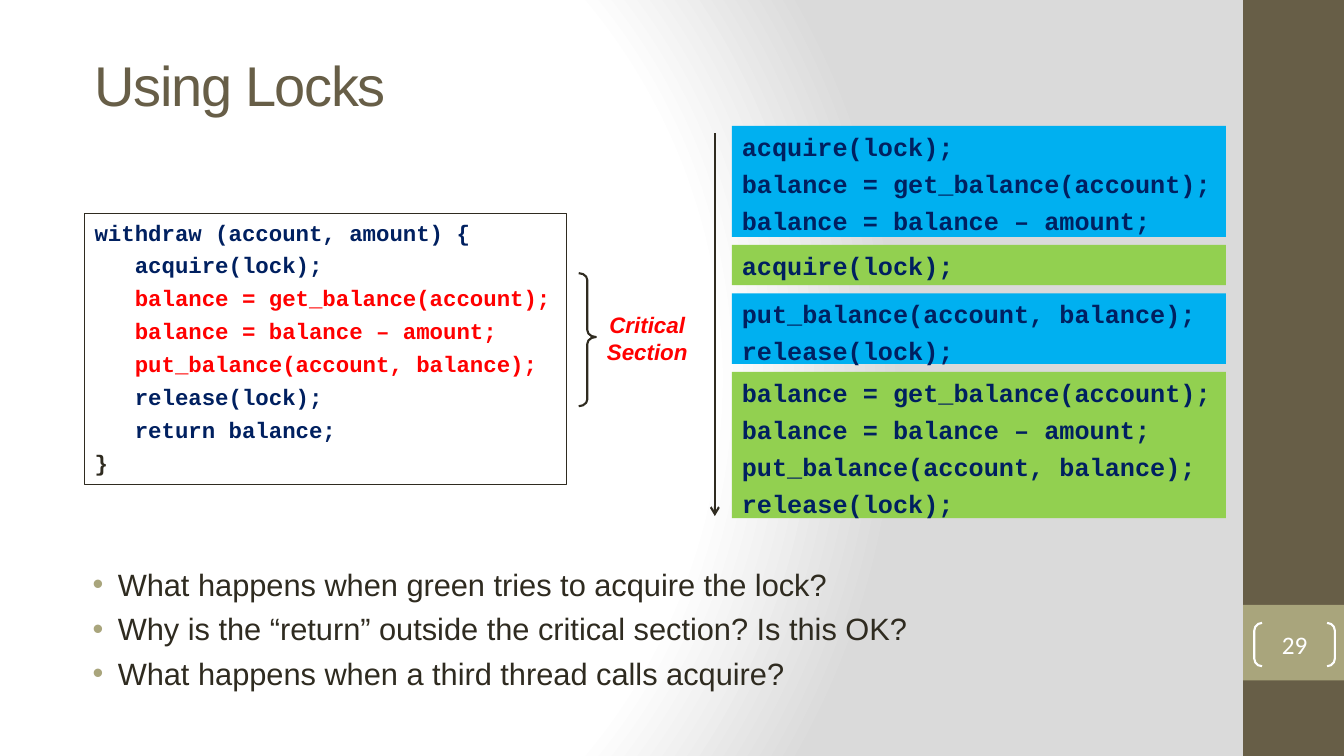
from dataclasses import dataclass

from lxml import etree
from pptx import Presentation
from pptx.dml.color import RGBColor
from pptx.enum.shapes import MSO_CONNECTOR, MSO_SHAPE
from pptx.enum.text import MSO_ANCHOR, PP_ALIGN
from pptx.oxml import parse_xml
from pptx.oxml.ns import nsdecls, qn
from pptx.util import Inches, Pt

RECTANGLE = MSO_SHAPE.RECTANGLE
BRACKETS = MSO_SHAPE.DOUBLE_BRACKET
BRACE = MSO_SHAPE.RIGHT_BRACE
STRAIGHT = MSO_CONNECTOR.STRAIGHT
TOP, MIDDLE = MSO_ANCHOR.TOP, MSO_ANCHOR.MIDDLE
LEFT, CENTER, JUSTIFY = PP_ALIGN.LEFT, PP_ALIGN.CENTER, PP_ALIGN.JUSTIFY

COLORS = {
    "brown": "675E47", "khaki": "A9A57C", "ink": "2F2B20", "navy": "002060",
    "red": "FF0000", "blue": "00B0F0", "green": "92D050",
    "white": "FFFFFF", "gray": "DADADA",
}


@dataclass
class Area:
    left: float
    top: float
    width: float
    height: float

    def lengths(self) -> tuple:
        return tuple(Inches(v) for v in (self.left, self.top, self.width, self.height))


@dataclass
class Style:
    font: str
    size: float
    color: str
    bold: bool = False
    italic: bool = False
    align: PP_ALIGN = LEFT
    space: float = 0


@dataclass
class Step:
    """One thread's turn on the timeline."""
    color: str
    height: float
    lines: list[str]


TITLE = Style("Arial", 40, "brown")
NUMBER = Style("Calibri", 18, "white", align=CENTER)
LABEL = Style("Arial", 16, "red", bold=True, italic=True, align=CENTER)
QUESTION = Style("Arial", 22, "ink", align=JUSTIFY, space=5.4)
CODE = Style("Courier New", 16, "navy", bold=True, space=4.3)
STEP_CODE = Style("Courier New", 18, "navy", bold=True, space=4.9)

CRITICAL = [
    "balance = get_balance(account);",
    "balance = balance – amount;",
    "put_balance(account, balance);",
]
ACQUIRE, RELEASE = "acquire(lock);", "release(lock);"
WITHDRAW = [
    ("withdraw (account, amount) {", "navy"),
    ("   " + ACQUIRE, "navy"),
    *[("   " + line, "red") for line in CRITICAL],
    ("   " + RELEASE, "navy"),
    ("   return balance;", "navy"),
    ("}", "ink"),
]
STEPS = [
    Step("blue", 1.1, [ACQUIRE, *CRITICAL[:2]]),
    Step("green", 0.4, [ACQUIRE]),
    Step("blue", 0.7, [CRITICAL[2], RELEASE]),
    Step("green", 1.45, [*CRITICAL, RELEASE]),
]
STEP_GAP = 0.08
QUESTIONS = [
    "What happens when green tries to acquire the lock?",
    "Why is the “return” outside the critical section? Is this OK?",
    "What happens when a third thread calls acquire?",
]


def rgb(name: str) -> RGBColor:
    return RGBColor.from_string(COLORS[name])


def add_bullet(para) -> None:
    properties = para._p.get_or_add_pPr()
    properties.set("marL", str(Inches(0.38)))
    properties.set("indent", str(Inches(-0.25)))
    color = etree.SubElement(properties, qn("a:buClr"))
    etree.SubElement(color, qn("a:srgbClr"), val=COLORS["khaki"])
    etree.SubElement(properties, qn("a:buFont"), typeface="Arial")
    etree.SubElement(properties, qn("a:buChar"), char="•")


def write(frame, lines: list[tuple[str, str]], style: Style,
          anchor: MSO_ANCHOR = TOP, bulleted: bool = False) -> None:
    """Fill a text frame with (text, color) lines."""
    frame.word_wrap = True
    frame.vertical_anchor = anchor
    for index, (text, color) in enumerate(lines):
        para = frame.add_paragraph() if index else frame.paragraphs[0]
        para.text = text
        para.alignment = style.align
        para.space_before = Pt(style.space if index else 0)
        if bulleted:
            add_bullet(para)
        font = para.font
        font.name, font.size = style.font, Pt(style.size)
        font.bold, font.italic = style.bold, style.italic
        font.color.rgb = rgb(color)


def add_figure(page, kind: MSO_SHAPE, area: Area, fill: str = "",
               line: str = "", width: float = 1.5):
    figure = page.shapes.add_shape(kind, *area.lengths())
    figure.shadow.inherit = False
    if fill:
        figure.fill.solid()
        figure.fill.fore_color.rgb = rgb(fill)
    else:
        figure.fill.background()
    if line:
        figure.line.color.rgb = rgb(line)
        figure.line.width = Pt(width)
    else:
        figure.line.fill.background()
    return figure


def add_text(page, area: Area, lines: list[str], style: Style, bulleted: bool = False) -> None:
    box = page.shapes.add_textbox(*area.lengths())
    write(box.text_frame, [(line, style.color) for line in lines], style, bulleted=bulleted)


def set_background(page) -> None:
    stops = "".join(
        f'<a:gs pos="{position}"><a:srgbClr val="{COLORS[name]}"/></a:gs>'
        for position, name in ((0, "white"), (75000, "white"), (100000, "gray")))
    page._element.cSld.insert(0, parse_xml(
        f'<p:bg {nsdecls("p", "a")}><p:bgPr><a:gradFill rotWithShape="1">'
        f'<a:gsLst>{stops}</a:gsLst><a:path path="circle">'
        '<a:fillToRect l="20000" t="50000" r="100000" b="50000"/></a:path>'
        '</a:gradFill><a:effectLst/></p:bgPr></p:bg>'))


def add_time_arrow(page, x: float, top: float, bottom: float) -> None:
    arrow = page.shapes.add_connector(
        STRAIGHT, Inches(x), Inches(top), Inches(x), Inches(bottom))
    arrow.line.color.rgb = rgb("ink")
    arrow.line.width = Pt(1.5)
    etree.SubElement(arrow.line._get_or_add_ln(), qn("a:tailEnd"), type="arrow")
    etree.SubElement(arrow._element.spPr, qn("a:effectLst"))


def main() -> None:
    deck = Presentation()
    deck.slide_width, deck.slide_height = Inches(13.33), Inches(7.5)
    page = deck.slides.add_slide(deck.slide_layouts[5])
    set_background(page)

    # Side band with the page number
    add_figure(page, RECTANGLE, Area(12.33, 0, 1, 7.5), fill="brown")
    add_figure(page, RECTANGLE, Area(12.33, 6, 1, 0.75), fill="khaki")
    brackets = add_figure(page, BRACKETS, Area(12.44, 6.18, 0.8, 0.43), line="white")
    brackets.adjustments[0] = 0.18
    frame = brackets.text_frame
    frame.margin_left = frame.margin_right = frame.margin_top = frame.margin_bottom = 0
    write(frame, [("29", "white")], NUMBER, MIDDLE)

    # Title
    title = page.shapes.title
    title.left, title.top, title.width, title.height = Area(0.84, 0.61, 10.91, 0.45).lengths()
    write(title.text_frame, [("Using Locks", "brown")], TITLE, MIDDLE)
    title.text_frame.paragraphs[0].runs[0].font._element.set("spc", "-100")

    # Questions
    add_text(page, Area(0.69, 5.56, 11.35, 1.64), QUESTIONS, QUESTION, bulleted=True)

    # Function with its critical section
    listing = add_figure(page, RECTANGLE, Area(0.84, 2.12, 4.78, 2.69), line="ink", width=0.75)
    write(listing.text_frame, WITHDRAW, CODE)
    add_text(page, Area(5.82, 3.04, 1.2, 0.64), ["Critical Section"], LABEL)
    brace = add_figure(page, BRACE, Area(5.74, 2.71, 0.17, 1.32), line="ink")
    brace.adjustments[0], brace.adjustments[1] = 0.4, 0.48

    # Timeline of the two threads
    top = 1.25
    for step in STEPS:
        block = add_figure(page, RECTANGLE, Area(7.26, top, 4.9, step.height), fill=step.color)
        write(block.text_frame, [(line, "navy") for line in step.lines], STEP_CODE)
        top += step.height + STEP_GAP
    add_time_arrow(page, 7.09, 1.32, 5.12)

    deck.save("out.pptx")


if __name__ == "__main__":
    main()
